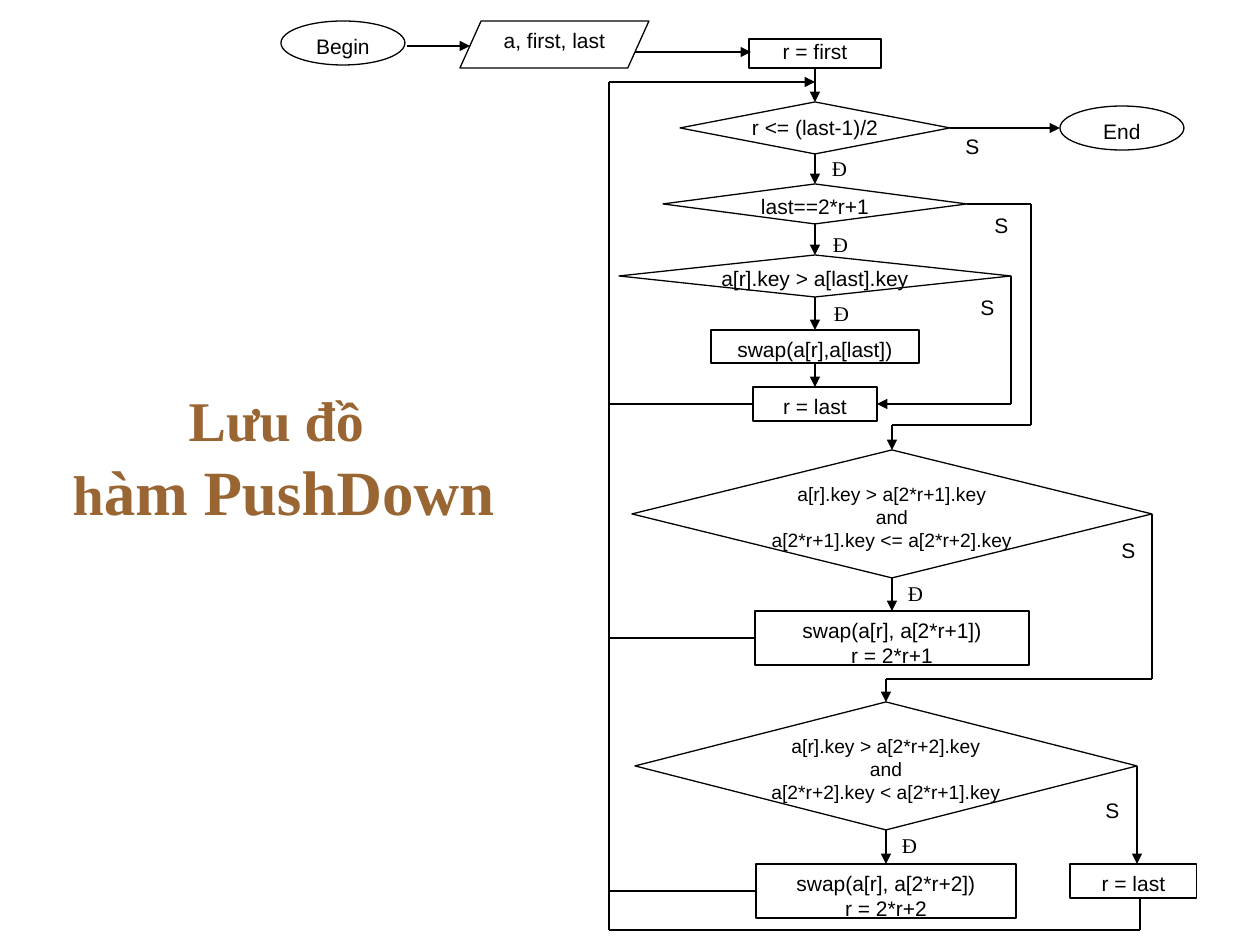
from lxml import etree
from pptx import Presentation
from pptx import util as u
from pptx.dml.color import RGBColor
from pptx.enum import shapes, text
from pptx.oxml.ns import qn

PX = 914400 // 126
TOP, LEFT, BOTTOM, RIGHT = range(4)
BLACK, WHITE, BROWN = "000000", "FFFFFF", "996633"
SANS, SERIF = "Arial", "Times New Roman"


def color(hex_code):
    return RGBColor.from_string(hex_code)


def write(paragraph, content, size=12, font=SANS, ink=BLACK, bold=False):
    paragraph.alignment = text.PP_ALIGN.CENTER
    run = paragraph.add_run()
    run.text = content
    run.font.size = u.Pt(size)
    run.font.name = font
    run.font.bold = bold
    run.font.color.rgb = color(ink)


deck = Presentation()
deck.slide_width, deck.slide_height = u.Inches(10), u.Inches(7.5)
slide = deck.slides.add_slide(deck.slide_layouts[6])

title = slide.shapes.add_textbox(0, 378 * PX, 567 * PX, 158 * PX).text_frame
title.word_wrap = True
title.vertical_anchor = text.MSO_ANCHOR.MIDDLE
heading = title.paragraphs[0]
title_style = dict(font=SERIF, ink=BROWN, bold=True)
write(heading, "Lưu đồ ", size=32, **title_style)
heading.add_line_break()
write(heading, "h", size=32, **title_style)
write(heading, "àm PushDown", size=36, **title_style)

OVAL = shapes.MSO_SHAPE.OVAL
BOX = shapes.MSO_SHAPE.RECTANGLE
DECISION = shapes.MSO_SHAPE.FLOWCHART_DECISION
INPUT = shapes.MSO_SHAPE.PARALLELOGRAM

# key: kind, left, top, width, height, padded, font size, lines
steps = {
    "begin": (OVAL, 281, 21, 124, 44, True, 12, ["Begin"]),
    "input": (INPUT, 460, 21, 189, 47, False, 12, ["a, first, last"]),
    "start": (BOX, 749, 39, 132, 29, False, 12, ["r = first"]),
    "has child": (DECISION, 680, 102, 270, 52, False, 12, ["r <= (last-1)/2"]),
    "end": (OVAL, 1060, 106, 124, 44, True, 12, ["End"]),
    "one child": (DECISION, 663, 184, 304, 40, False, 12, ["last==2*r+1"]),
    "compare": (DECISION, 619, 255, 392, 42, False, 12, ["a[r].key > a[last].key"]),
    "swap last": (BOX, 711, 330, 208, 33, True, 12, ["swap(a[r],a[last])"]),
    "finish": (BOX, 753, 387, 124, 34, True, 12, ["r = last"]),
    "go left": (DECISION, 632, 450, 520, 128, False, 11,
                ["a[r].key > a[2*r+1].key", "and", "a[2*r+1].key <= a[2*r+2].key"]),
    "swap left": (BOX, 755, 611, 274, 54, True, 12,
                  ["swap(a[r], a[2*r+1])", "r = 2*r+1"]),
    "go right": (DECISION, 635, 702, 502, 128, False, 11,
                 ["a[r].key > a[2*r+2].key", "and", "a[2*r+2].key < a[2*r+1].key"]),
    "swap right": (BOX, 756, 864, 260, 54, True, 12,
                   ["swap(a[r], a[2*r+2])", "r = 2*r+2"]),
    "stop": (BOX, 1070, 864, 127, 34, True, 12, ["r = last"]),
}
# yes (Đ) and no (S) branches
branches = [
    ("Đ", 822, 156), ("Đ", 823, 232), ("Đ", 824, 300), ("Đ", 898, 581), ("Đ", 892, 833),
    ("S", 955, 134), ("S", 984, 212), ("S", 970, 294), ("S", 1111, 538), ("S", 1095, 798),
]
parts = [(key, *step, SANS, True) for key, step in steps.items()]
parts += [(None, BOX, left, top, 35, 20, False, 12, [word],
           SERIF if word == "Đ" else SANS, False) for word, left, top in branches]

nodes = {}
for key, kind, left, top, width, height, padded, size, lines, font, outlined in parts:
    node = slide.shapes.add_shape(kind, left * PX, top * PX, width * PX, height * PX)
    node.shadow.inherit = False
    node.fill.solid()
    node.fill.fore_color.rgb = color(WHITE)
    if outlined:
        node.line.color.rgb = color(BLACK)
        node.line.width = u.Pt(0.75)
    else:
        node.line.fill.background()
    if kind == INPUT:
        node.adjustments[0] = 0.45
    frame = node.text_frame
    frame.word_wrap = True
    frame.vertical_anchor = text.MSO_ANCHOR.TOP
    frame.margin_left = frame.margin_right = u.Inches(0.1 if padded else 0)
    frame.margin_top = frame.margin_bottom = u.Inches(0.05 if padded else 0)
    for index, line in enumerate(lines):
        paragraph = frame.add_paragraph() if index else frame.paragraphs[0]
        write(paragraph, line, size=size, font=font)
    nodes[key] = node

# start, finish, arrow; an end is a point or (step, side)
LOOP = 609
flows = [
    ((407, 46), (470, 46), True),
    ((635, 52), (751, 52), True),
    (("start", BOTTOM), ("has child", TOP), True),
    (("has child", RIGHT), (1060, 128), True),
    (("has child", BOTTOM), ("one child", TOP), True),
    (("one child", BOTTOM), ("compare", TOP), True),
    (("compare", BOTTOM), ("swap last", TOP), True),
    (("swap last", BOTTOM), ("finish", TOP), True),
    (("one child", RIGHT), (1031, 204), False),
    ((1031, 204), (1031, 425), False),
    ((1031, 425), (892, 425), False),
    ((892, 425), ("go left", TOP), True),
    (("compare", RIGHT), (1011, 404), False),
    ((1011, 404), ("finish", RIGHT), True),
    (("go left", BOTTOM), ("swap left", TOP), True),
    (("go left", RIGHT), (1152, 679), False),
    ((1152, 679), (886, 679), False),
    ((886, 679), ("go right", TOP), True),
    (("go right", BOTTOM), ("swap right", TOP), True),
    (("go right", RIGHT), (1137, 864), True),
    ((1140, 898), (1140, 930), False),
    ((1140, 930), (LOOP, 930), False),
    (("finish", LEFT), (LOOP, 404), False),
    (("swap left", LEFT), (LOOP, 638), False),
    (("swap right", LEFT), (LOOP, 891), False),
    ((LOOP, 930), (LOOP, 82), False),
    ((LOOP, 82), (815, 82), True),
]
for start, finish, arrow in flows:
    ends = [0 if end[0] in nodes else length * PX for end in (start, finish) for length in end]
    flow = slide.shapes.add_connector(shapes.MSO_CONNECTOR.STRAIGHT, *ends)
    if start[0] in nodes:
        flow.begin_connect(nodes[start[0]], start[1])
    if finish[0] in nodes:
        flow.end_connect(nodes[finish[0]], finish[1])
    flow.line.color.rgb = color(BLACK)
    flow.line.width = u.Pt(0.75)
    if arrow:
        etree.SubElement(flow.line._get_or_add_ln(), qn("a:tailEnd"), type="triangle")
    etree.SubElement(flow._element.spPr, qn("a:effectLst"))

deck.save("out.pptx")
